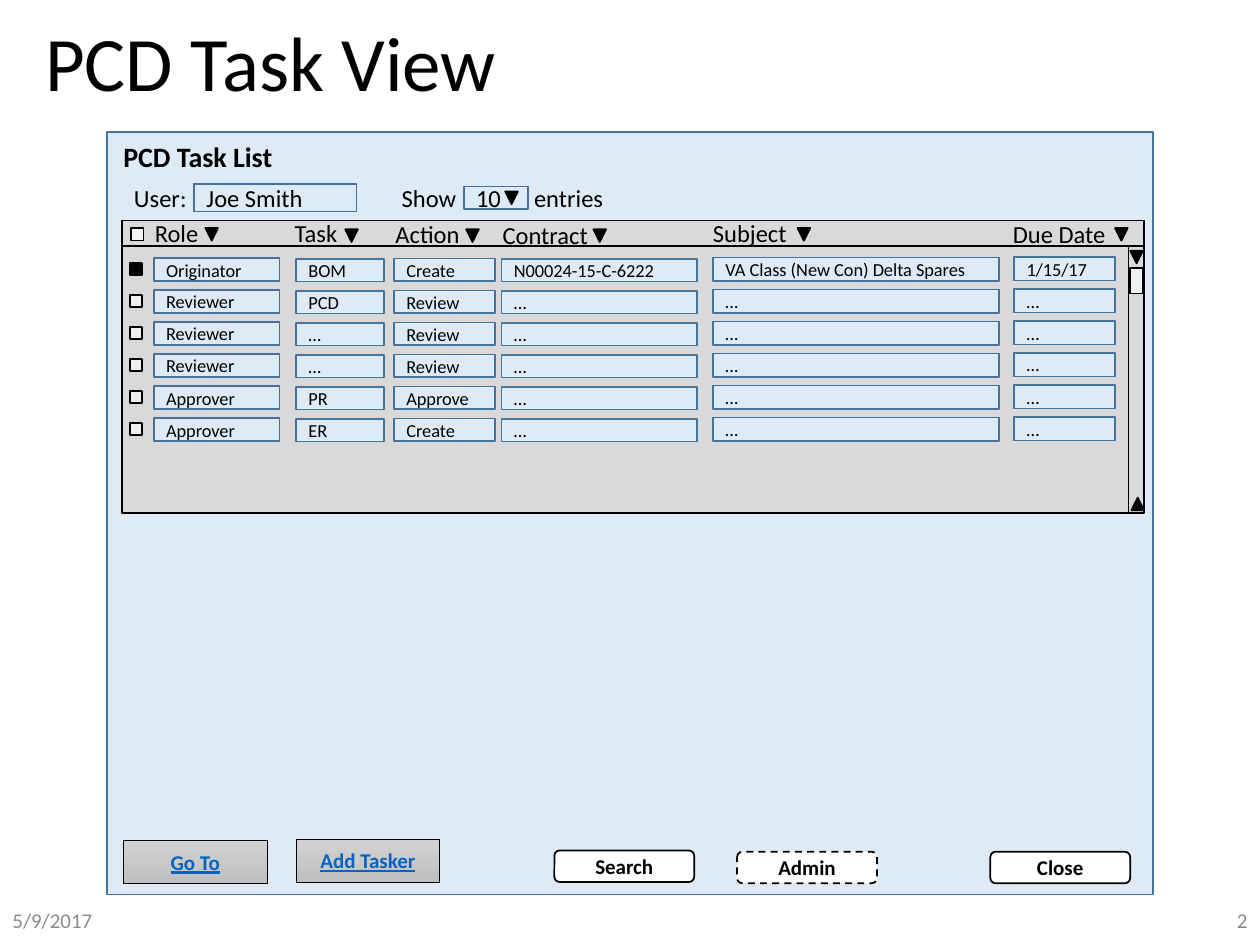
from dataclasses import dataclass
from typing import NamedTuple

from lxml.etree import SubElement
from pptx import Presentation
from pptx.dml.color import RGBColor
from pptx.enum.dml import MSO_LINE
from pptx.enum.shapes import MSO_CONNECTOR, MSO_SHAPE
from pptx.enum.text import MSO_ANCHOR, PP_ALIGN
from pptx.oxml.ns import qn
from pptx.util import Inches, Pt

BLACK = RGBColor(0x00, 0x00, 0x00)
WHITE = RGBColor(0xFF, 0xFF, 0xFF)
PALE_BLUE = RGBColor(0xDE, 0xEB, 0xF7)
EDGE_BLUE = RGBColor(0x43, 0x73, 0x9E)
LINK_BLUE = RGBColor(0x05, 0x63, 0xC1)
PANEL_GRAY = RGBColor(0xD9, 0xD9, 0xD9)
BOX_GRAY = RGBColor(0xF2, 0xF2, 0xF2)
FOOTER_GRAY = RGBColor(0x8C, 0x8C, 0x8C)
BUTTON_TOP = RGBColor(0xD2, 0xD2, 0xD2)
BUTTON_BOTTOM = RGBColor(0xC0, 0xC0, 0xC0)

# The slide is a grid of 1000 columns by 750 rows.
COLS, ROWS = 1000, 750
WIDTH, HEIGHT = Inches(10), Inches(7.5)
ROW_TOP, ROW_PITCH = 205, 25.4
MARK = 10


class Box(NamedTuple):
    left: float
    top: float
    width: float
    height: float

    def emu(self) -> tuple[int, int, int, int]:
        return (int(self.left / COLS * WIDTH), int(self.top / ROWS * HEIGHT),
                int(self.width / COLS * WIDTH), int(self.height / ROWS * HEIGHT))


@dataclass
class Style:
    size: float = 14
    color: RGBColor = BLACK
    bold: bool = False
    underline: bool = False
    align: PP_ALIGN = PP_ALIGN.LEFT
    anchor: MSO_ANCHOR = MSO_ANCHOR.MIDDLE
    spacing: float = 1.0


@dataclass
class Column:
    name: str
    name_box: Box
    arrow: tuple[float, float]
    left: float
    width: float
    cells: list[str]
    shift: float = 0
    height: float = 18


LABEL = Style(anchor=MSO_ANCHOR.TOP)
LABEL_RIGHT = Style(anchor=MSO_ANCHOR.TOP, align=PP_ALIGN.RIGHT)
CELL = Style(size=10.5)
BUTTON = Style(size=12, bold=True, align=PP_ALIGN.CENTER)
LINK = Style(size=12, bold=True, align=PP_ALIGN.CENTER, color=LINK_BLUE, underline=True)

COLUMNS = [
    Column("Role", Box(113, 168, 91, 34), (163, 181), 122, 100,
           ["Originator"] + ["Reviewer"] * 3 + ["Approver"] * 2),
    Column("Task", Box(224, 168, 125, 34), (274, 182), 235, 70,
           ["BOM", "PCD", "…", "…", "PR", "ER"], 0.4),
    Column("Action", Box(304, 169, 125, 34), (370, 182), 312.7, 80,
           ["Create", "Review", "Review", "Review", "Approve", "Create"], 0.2),
    Column("Contract", Box(389, 170, 100, 34), (471, 182), 398, 155,
           ["N00024-15-C-6222"] + ["…"] * 5, 0.4),
    Column("Subject", Box(556, 168, 80, 34), (633, 181), 566, 227,
           ["VA Class (New Con) Delta Spares"] + ["…"] * 5, -0.7, 19),
    Column("Due Date", Box(794, 169, 102, 34), (885, 181), 805, 80,
           ["1/15/17"] + ["…"] * 5, -1.3, 19),
]


def write(sp, text: str, style: Style) -> None:
    tf = sp.text_frame
    tf.text = text
    tf.word_wrap = True
    tf.vertical_anchor = style.anchor
    p = tf.paragraphs[0]
    p.alignment = style.align
    p.line_spacing = style.spacing
    font = p.runs[0].font
    font.name = "Calibri"
    font.size = Pt(style.size)
    font.bold = style.bold
    font.underline = style.underline
    font.color.rgb = style.color


def add_text(slide, box: Box, text: str, style: Style = LABEL) -> None:
    write(slide.shapes.add_textbox(*box.emu()), text, style)


def add_box(slide, box: Box, fill: RGBColor, line: RGBColor = BLACK,
            kind: MSO_SHAPE = MSO_SHAPE.FLOWCHART_PROCESS, weight: float = 1):
    sp = slide.shapes.add_shape(kind, *box.emu())
    sp.shadow.inherit = False
    sp.fill.solid()
    sp.fill.fore_color.rgb = fill
    sp.line.color.rgb = line
    sp.line.width = Pt(weight)
    return sp


def add_field(slide, box: Box, text: str, style: Style = CELL) -> None:
    write(add_box(slide, box, PALE_BLUE, EDGE_BLUE, MSO_SHAPE.RECTANGLE), text, style)


def add_arrow(slide, left: float, top: float, rotation: float = 180) -> None:
    sp = add_box(slide, Box(left, top, MARK, MARK), BLACK, kind=MSO_SHAPE.ISOSCELES_TRIANGLE)
    sp.rotation = rotation


def add_checkbox(slide, left: float, top: float, fill: RGBColor = BOX_GRAY) -> None:
    add_box(slide, Box(left, top, MARK, MARK), fill)


def add_line(slide, start: tuple[float, float], end: tuple[float, float], weight: float) -> None:
    x1, y1, x2, y2 = Box(*start, *end).emu()
    line = slide.shapes.add_connector(MSO_CONNECTOR.STRAIGHT, x1, y1, x2, y2)
    line.line.color.rgb = BLACK
    line.line.width = Pt(weight)
    SubElement(line._element.spPr, qn("a:effectLst"))


def add_button(slide, left: float, top: float, text: str, dashed: bool = False) -> None:
    sp = add_box(slide, Box(left, top, 111, 25), WHITE, kind=MSO_SHAPE.ROUNDED_RECTANGLE)
    if dashed:
        sp.line.dash_style = MSO_LINE.DASH
    write(sp, text, BUTTON)


def add_link_button(slide, left: float, top: float, text: str) -> None:
    sp = add_box(slide, Box(left, top, 114, 34), BUTTON_TOP,
                 kind=MSO_SHAPE.ACTION_BUTTON_CUSTOM, weight=0.5)
    sp.fill.gradient()
    sp.fill.gradient_angle = 270
    for stop, color in zip(sp.fill.gradient_stops, (BUTTON_TOP, BUTTON_BOTTOM)):
        stop.color.rgb = color
    write(sp, text, LINK)


def draw_filters(slide) -> None:
    add_text(slide, Box(88, 106, 412, 37), "PCD Task List",
             Style(size=16, bold=True, anchor=MSO_ANCHOR.TOP))
    add_text(slide, Box(96, 140, 62, 34), "User:", LABEL_RIGHT)
    add_field(slide, Box(154, 146, 129, 22), "Joe Smith", Style())
    add_text(slide, Box(302, 140, 70, 34), "Show", LABEL_RIGHT)
    add_field(slide, Box(368, 148, 51, 18), "10", Style())
    add_arrow(slide, 401, 152)
    add_text(slide, Box(414, 140, 77, 34), "entries")


def draw_task_list(slide) -> None:
    add_box(slide, Box(97, 175, 811, 232), PANEL_GRAY)
    add_line(slide, (97, 195), (908, 195), 1)
    add_checkbox(slide, 104, 181)
    for col in COLUMNS:
        add_text(slide, col.name_box, col.name)
        add_arrow(slide, *col.arrow)
        for row, text in enumerate(col.cells):
            top = ROW_TOP + col.shift + row * ROW_PITCH
            add_field(slide, Box(col.left, top, col.width, col.height), text)
    for row in range(len(COLUMNS[0].cells)):
        add_checkbox(slide, 103, 208.5 + row * ROW_PITCH, BOX_GRAY if row else BLACK)


def draw_scrollbar(slide) -> None:
    add_line(slide, (896, 195), (896, 406), 0.5)
    add_arrow(slide, 898, 395, 0)
    add_arrow(slide, 897, 199)
    add_box(slide, Box(897, 213, 10, 20), BOX_GRAY)


def main() -> None:
    prs = Presentation()
    prs.slide_width, prs.slide_height = WIDTH, HEIGHT
    slide = prs.slides.add_slide(prs.slide_layouts[6])
    add_text(slide, Box(26, 9, 949, 87), "PCD Task View", Style(size=44, spacing=0.9))
    add_text(slide, Box(0, 710, 225, 40), "5/9/2017", Style(size=12, color=FOOTER_GRAY))
    add_text(slide, Box(775, 710, 225, 40), "2",
             Style(size=12, color=FOOTER_GRAY, align=PP_ALIGN.RIGHT))
    add_box(slide, Box(85, 105, 830, 605), PALE_BLUE, EDGE_BLUE, MSO_SHAPE.RECTANGLE)
    draw_filters(slide)
    draw_task_list(slide)
    draw_scrollbar(slide)
    add_link_button(slide, 98, 667, "Go To")
    add_link_button(slide, 235, 666, "Add Tasker")
    add_button(slide, 440, 675, "Search")
    add_button(slide, 585, 676, "Admin", dashed=True)
    add_button(slide, 786, 676, "Close")
    prs.save("out.pptx")


if __name__ == "__main__":
    main()
